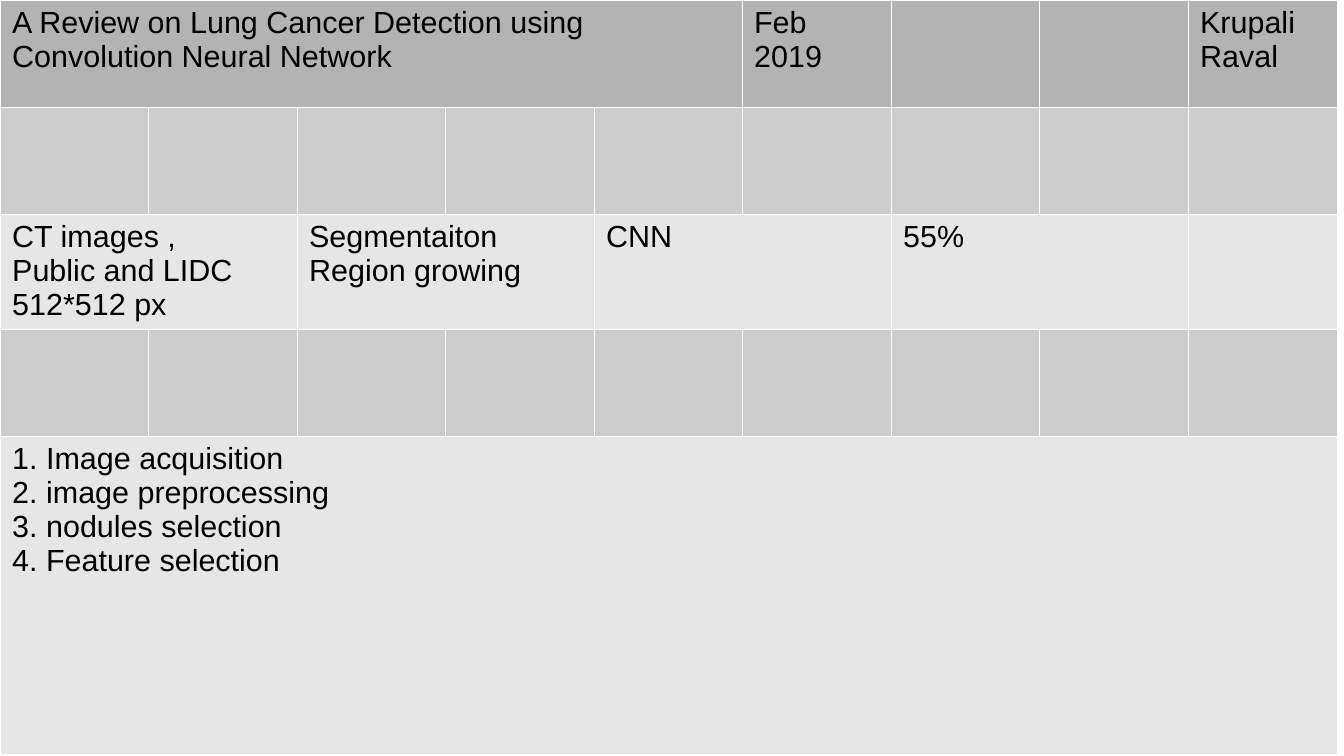
from lxml import etree
from pptx import Presentation
from pptx.dml.color import RGBColor
from pptx.oxml.ns import qn
from pptx.util import Emu, Pt

PX = 914400 // 122
SLIDE_W, SLIDE_H = 1344, 756
TABLE_W, COLS = 1337, 9
ROW_HEIGHTS = [107, 107, 107, 107, 319]

BLACK = RGBColor(0x00, 0x00, 0x00)
WHITE = RGBColor(0xFF, 0xFF, 0xFF)
HEADER = RGBColor(0xB3, 0xB3, 0xB3)
DARK_BAND = RGBColor(0xCC, 0xCC, 0xCC)
LIGHT_BAND = RGBColor(0xE6, 0xE6, 0xE6)
ROW_FILLS = [HEADER, DARK_BAND, LIGHT_BAND, DARK_BAND, LIGHT_BAND]

# (row, column, columns spanned, lines)
ENTRIES = [
    (0, 0, 5, ["A Review on Lung Cancer Detection using",
               "Convolution Neural Network"]),
    (0, 5, 1, ["Feb 2019"]),
    (0, 8, 1, ["Krupali Raval"]),
    (2, 0, 2, ["CT images ,", "Public and LIDC", "512*512 px"]),
    (2, 2, 2, ["Segmentaiton", "Region growing"]),
    (2, 4, 2, ["CNN"]),
    (2, 6, 2, ["55%"]),
    (4, 0, 9, ["1. Image acquisition", "2. image preprocessing",
               "3. nodules selection", "4. Feature selection"]),
]


def px(n):
    return Emu(n * PX)


def set_borders(cell, color, width):
    tcPr = cell._tc.get_or_add_tcPr()
    for side in ("lnL", "lnR", "lnT", "lnB"):
        ln = etree.SubElement(tcPr, qn(f"a:{side}"), w=str(int(width)))
        fill = etree.SubElement(ln, qn("a:solidFill"))
        etree.SubElement(fill, qn("a:srgbClr"), val=str(color))


def style_cell(cell, fill):
    set_borders(cell, WHITE, Pt(0.06))
    cell.fill.solid()
    cell.fill.fore_color.rgb = fill
    cell.margin_left = cell.margin_right = Pt(7.2)
    cell.margin_top = cell.margin_bottom = Pt(3.6)


def write_lines(cell, lines):
    tf = cell.text_frame
    tf.text = "\n".join(lines)
    for p in tf.paragraphs:
        for r in p.runs:
            r.font.name = "Arial"
            r.font.size = Pt(18)
            r.font.color.rgb = BLACK


def add_review_table(s):
    table = s.shapes.add_table(len(ROW_HEIGHTS), COLS, 0, 0, px(TABLE_W),
                               px(sum(ROW_HEIGHTS))).table
    table.first_row = table.horz_banding = False
    edges = [TABLE_W * i // COLS for i in range(COLS + 1)]
    for column, left, right in zip(table.columns, edges, edges[1:]):
        column.width = px(right - left)
    for row, height, fill in zip(table.rows, ROW_HEIGHTS, ROW_FILLS):
        row.height = px(height)
        for cell in row.cells:
            style_cell(cell, fill)
    for row, col, span, lines in ENTRIES:
        cell = table.cell(row, col)
        if span > 1:
            cell.merge(table.cell(row, col + span - 1))
        write_lines(cell, lines)


def main():
    prs = Presentation()
    prs.slide_width, prs.slide_height = px(SLIDE_W), px(SLIDE_H)
    s = prs.slides.add_slide(prs.slide_layouts[6])
    add_review_table(s)
    prs.save("out.pptx")


if __name__ == "__main__":
    main()
